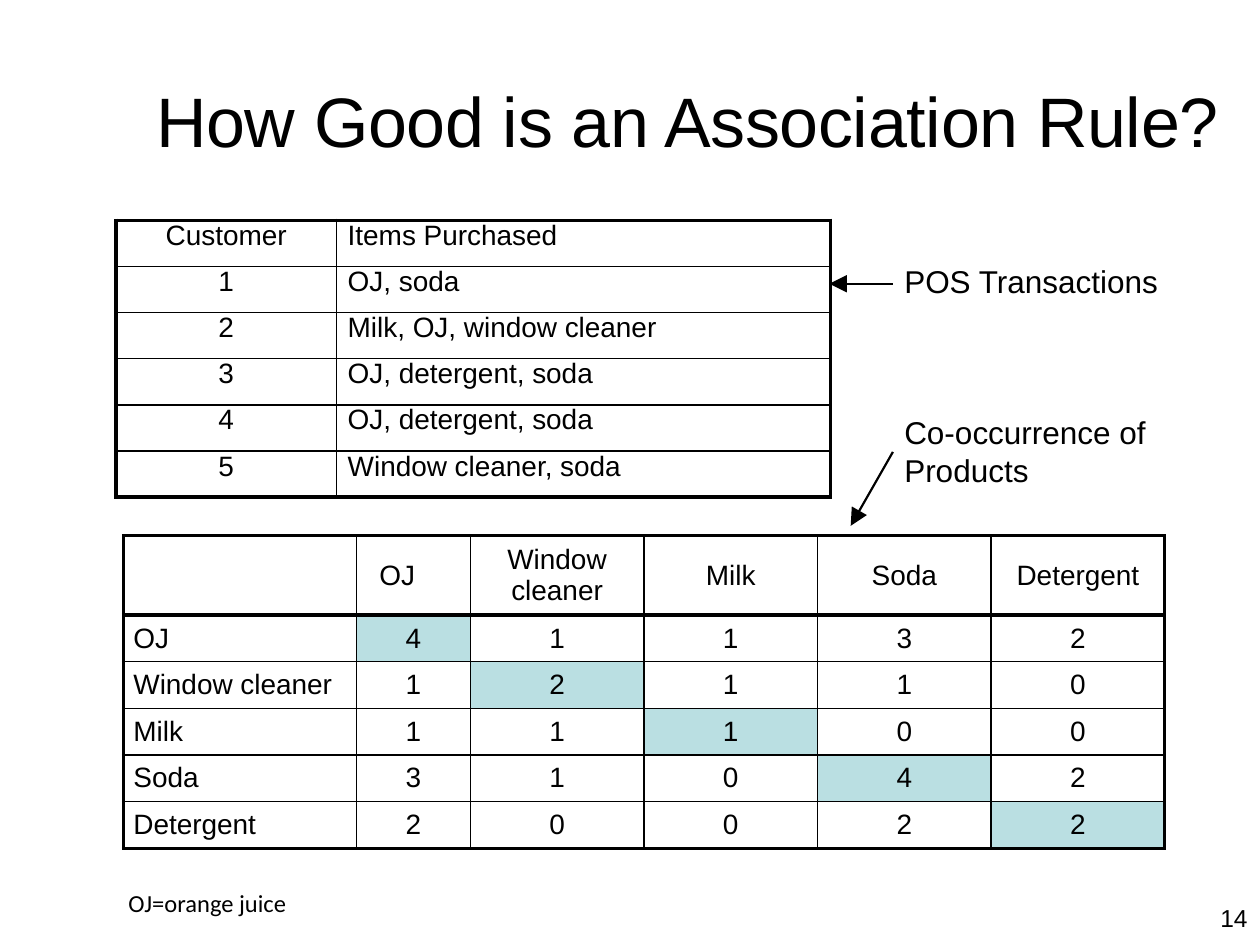
from dataclasses import dataclass
from typing import Optional

from lxml.etree import SubElement
from pptx import Presentation
from pptx.dml.color import RGBColor
from pptx.enum.shapes import MSO_CONNECTOR
from pptx.enum.text import MSO_ANCHOR, MSO_AUTO_SIZE, PP_ALIGN
from pptx.oxml.ns import qn
from pptx.util import Cm, Pt

BLACK, DIAGONAL = "000000", "BADFE2"
THIN, THICK = 1, 2.25


@dataclass
class Label:
    text: str
    left: float
    top: float
    width: float
    height: float
    size: float = 18
    font: str = "Arial"
    inset: tuple = (0, 0)


@dataclass
class Arrow:
    start: tuple
    end: tuple


@dataclass
class Grid:
    left: float
    top: float
    cols: list
    heights: list
    rows: list
    left_col: int  # column whose text is left aligned
    indent: float
    anchor: MSO_ANCHOR
    heavy_header: bool = False


LABELS = [
    Label("POS Transactions", 18.23, 5.28, 5.3, 0.71),
    Label("Co-occurrence of Products", 18.23, 8.33, 4.95, 1.47),
    Label("14", 24.6, 18.21, 0.7, 0.56, size=14),
    Label("OJ=orange juice", 2.34, 17.78, 6.35, 0.86, size=14,
          font="Calibri", inset=(0.25, 0.13)),
]

ARROWS = [
    Arrow((18, 5.72), (16.72, 5.72)),
    Arrow((18, 9.11), (17.15, 10.6)),
]

TRANSACTIONS = Grid(
    2.34, 4.44, [4.44, 9.96], [0.93] * 6,
    [["Customer", "Items Purchased"],
     ["1", "OJ, soda"],
     ["2", "Milk, OJ, window cleaner"],
     ["3", "OJ, detergent, soda"],
     ["4", "OJ, detergent, soda"],
     ["5", "Window cleaner, soda"]],
    left_col=1, indent=0.23, anchor=MSO_ANCHOR.TOP)

PRODUCTS = ["OJ", "Window cleaner", "Milk", "Soda", "Detergent"]
COUNTS = [[4, 1, 1, 3, 2],
          [1, 2, 1, 1, 0],
          [1, 1, 1, 0, 0],
          [3, 1, 0, 4, 2],
          [2, 0, 0, 2, 2]]
CO_OCCURRENCE = Grid(
    2.49, 10.8, [4.7, 2.29] + [3.5] * 4, [1.6] + [0.94] * 5,
    [[""] + [name.replace(" ", "\n") for name in PRODUCTS]]
    + [[name, *map(str, row)] for name, row in zip(PRODUCTS, COUNTS)],
    left_col=0, indent=0.2, anchor=MSO_ANCHOR.MIDDLE, heavy_header=True)


def color(value: str) -> RGBColor:
    return RGBColor.from_string(value)


def write(tf, text: str, *, size: float, font: str = "Arial",
          align=PP_ALIGN.LEFT, spacing: Optional[int] = None) -> None:
    """Write one paragraph per line; spacing is in hundredths of a point."""
    for i, line in enumerate(text.split("\n")):
        p = tf.paragraphs[0] if i == 0 else tf.add_paragraph()
        p.alignment = align
        r = p.add_run()
        r.text = line
        r.font.size = Pt(size)
        r.font.name = font
        r.font.color.rgb = color(BLACK)
        if spacing is not None:
            r._r.get_or_add_rPr().set("spc", str(spacing))


def set_insets(tf, x: float, y: float) -> None:
    tf.margin_left = tf.margin_right = Cm(x)
    tf.margin_top = tf.margin_bottom = Cm(y)


def add_title(s, text: str) -> None:
    sp = s.shapes.title
    sp.left, sp.top, sp.width, sp.height = Cm(3.15), Cm(1.57), Cm(21.7), Cm(1.55)
    tf = sp.text_frame
    tf.auto_size = MSO_AUTO_SIZE.NONE
    tf.word_wrap = True
    tf.vertical_anchor = MSO_ANCHOR.TOP
    set_insets(tf, 0, 0)
    write(tf, text, size=40, spacing=-20)


def add_label(s, label: Label) -> None:
    sp = s.shapes.add_textbox(Cm(label.left), Cm(label.top),
                              Cm(label.width), Cm(label.height))
    tf = sp.text_frame
    tf.word_wrap = True
    set_insets(tf, *label.inset)
    write(tf, label.text, size=label.size, font=label.font)


def add_arrow(s, arrow: Arrow) -> None:
    sp = s.shapes.add_connector(MSO_CONNECTOR.STRAIGHT,
                                *map(Cm, arrow.start + arrow.end))
    sp.line.color.rgb = color(BLACK)
    sp.line.width = Pt(1.25)
    SubElement(sp.line._get_or_add_ln(), qn("a:tailEnd"),
               type="triangle", w="lg", len="lg")
    SubElement(sp._element.spPr, qn("a:effectLst"))


def set_borders(cell, widths: dict) -> None:
    """Borders come before the fill in the cell properties."""
    tcPr = cell._tc.get_or_add_tcPr()
    for i, (side, width) in enumerate(widths.items()):
        ln = SubElement(tcPr, qn(f"a:ln{side}"), w=str(Pt(width)))
        fill = SubElement(ln, qn("a:solidFill"))
        SubElement(fill, qn("a:srgbClr"), val=BLACK)
        tcPr.insert(i, ln)


def add_grid(s, grid: Grid):
    n_rows, n_cols = len(grid.heights), len(grid.cols)
    table = s.shapes.add_table(n_rows, n_cols, Cm(grid.left), Cm(grid.top),
                               Cm(sum(grid.cols)), Cm(sum(grid.heights))).table
    table.first_row = table.horz_banding = False
    for column, width in zip(table.columns, grid.cols):
        column.width = Cm(width)
    for row, height in zip(table.rows, grid.heights):
        row.height = Cm(height)

    # Thick lines run round the outside and, if asked, below the header
    thick_rows = {0, n_rows} | ({1} if grid.heavy_header else set())
    thick_cols = {0, n_cols}
    for i, values in enumerate(grid.rows):
        for j, text in enumerate(values):
            cell = table.cell(i, j)
            cell.vertical_anchor = grid.anchor
            set_insets(cell, 0, 0)
            cell.fill.background()
            set_borders(cell, {
                "L": THICK if j in thick_cols else THIN,
                "R": THICK if j + 1 in thick_cols else THIN,
                "T": THICK if i in thick_rows else THIN,
                "B": THICK if i + 1 in thick_rows else THIN})
            align = PP_ALIGN.CENTER
            if j == grid.left_col:
                cell.margin_left = Cm(grid.indent)
                align = PP_ALIGN.LEFT
            if text:
                write(cell.text_frame, text, size=16, align=align)
    return table


def main() -> None:
    prs = Presentation()
    prs.slide_width, prs.slide_height = Cm(25.4), Cm(19.05)
    s = prs.slides.add_slide(prs.slide_layouts[5])
    add_title(s, "How Good is an Association Rule?")

    # Notes and arrows pointing at the tables
    for label in LABELS:
        add_label(s, label)
    for arrow in ARROWS:
        add_arrow(s, arrow)

    # Tables, with each product's own count shaded
    add_grid(s, TRANSACTIONS)
    table = add_grid(s, CO_OCCURRENCE)
    for i in range(1, len(PRODUCTS) + 1):
        cell = table.cell(i, i)
        cell.fill.solid()
        cell.fill.fore_color.rgb = color(DIAGONAL)

    # The first product heading sits left of centre
    heading = table.cell(0, 1)
    heading.margin_left = Cm(0.46)
    heading.text_frame.paragraphs[0].alignment = PP_ALIGN.LEFT

    prs.save("out.pptx")


if __name__ == "__main__":
    main()
